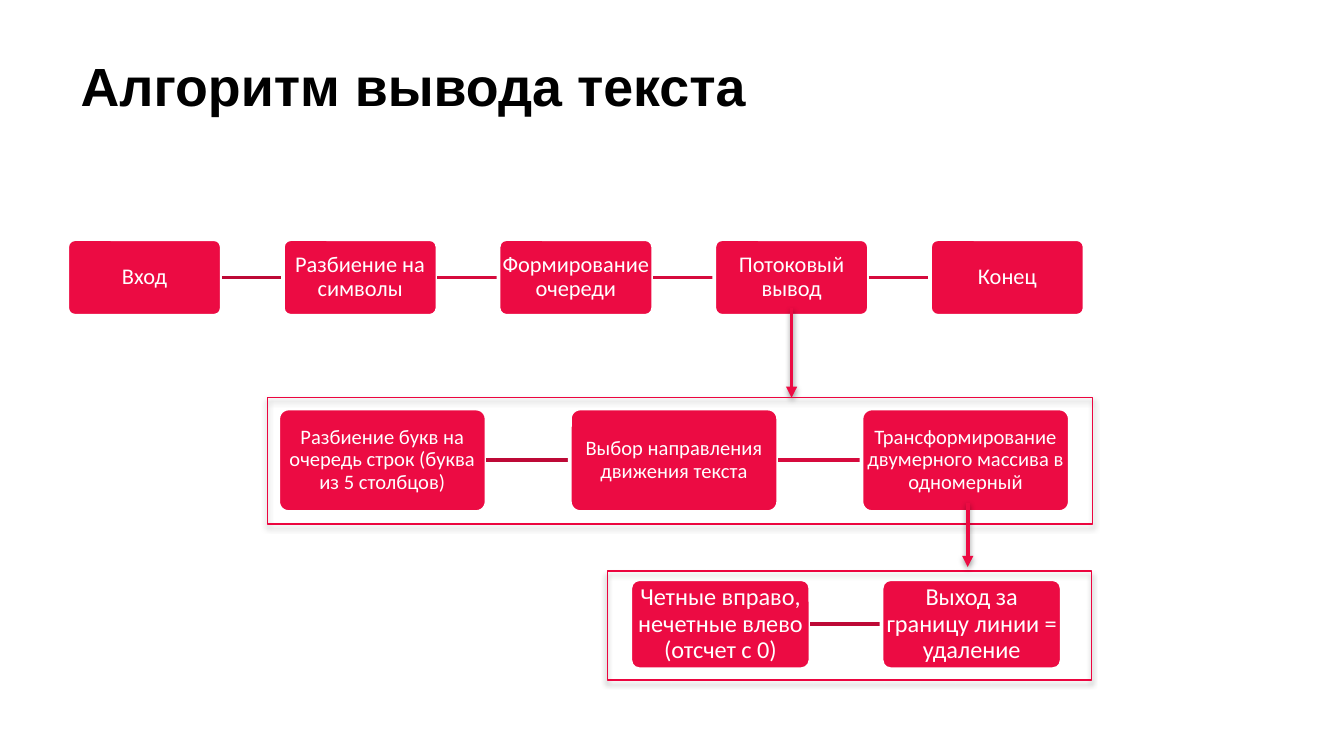
from dataclasses import dataclass

from lxml.etree import SubElement
from pptx import Presentation
from pptx.dml.color import RGBColor
from pptx.enum.shapes import MSO_CONNECTOR, MSO_SHAPE
from pptx.enum.text import MSO_ANCHOR, PP_ALIGN
from pptx.oxml.ns import qn
from pptx.shapes.autoshape import Shape
from pptx.shapes.connector import Connector
from pptx.slide import Slide
from pptx.util import Inches, Pt

TOP, LEFT, BOTTOM, RIGHT = range(4)


@dataclass(frozen=True)
class Theme:
    title_font: str = "Arial"
    step_font: str = "Calibri"
    title_size: float = 28.8
    line_width: float = 2
    frame_width: float = 0.75
    black: RGBColor = RGBColor.from_string("000000")
    white: RGBColor = RGBColor.from_string("FFFFFF")
    red: RGBColor = RGBColor.from_string("EC0B43")
    frame_red: RGBColor = RGBColor.from_string("EC053F")
    first_link: RGBColor = RGBColor.from_string("BD0936")
    next_link: RGBColor = RGBColor.from_string("D60A3D")


THEME = Theme()


@dataclass(frozen=True)
class Chain:
    """A row of equal boxes spread evenly from left to right."""
    left: float
    right: float
    top: float
    width: float
    height: float
    text_size: float
    steps: tuple[str, ...]

    @property
    def pitch(self) -> float:
        return (self.right - self.left - self.width) / (len(self.steps) - 1)


@dataclass(frozen=True)
class Frame:
    left: float
    top: float
    width: float
    height: float


@dataclass(frozen=True)
class Arrow:
    x: float
    start: float
    end: float


MAIN_CHAIN = Chain(0.5, 8.07, 1.78, 1.15, 0.57, 12, (
    "Вход",
    "Разбиение на символы",
    "Формирование очереди",
    "Потоковый вывод",
    "Конец",
))
OUTPUT_CHAIN = Chain(2.07, 7.96, 3.04, 1.55, 0.77, 11, (
    "Разбиение букв на очередь строк (буква из 5 столбцов)",
    "Выбор направления движения текста",
    "Трансформирование двумерного массива в одномерный",
))
TRANSFORM_CHAIN = Chain(4.69, 7.9, 4.31, 1.34, 0.67, 13, (
    "Четные вправо, нечетные влево (отсчет с 0)",
    "Выход за границу линии = удаление",
))
OUTPUT_FRAME = Frame(1.99, 2.96, 6.14, 0.94)
TRANSFORM_FRAME = Frame(4.52, 4.25, 3.6, 0.81)
OUTPUT_ARROW = Arrow(5.89, 2.29, 2.96)
TRANSFORM_ARROW = Arrow(7.2, 3.74, 4.22)


def set_shadow(item: Shape | Connector, opacity: int = 0, distance: float = 0) -> None:
    """Replace the theme shadow: none at zero opacity, else one falling down."""
    effects = SubElement(item.element.spPr, qn("a:effectLst"))
    if opacity:
        shadow = SubElement(effects, qn("a:outerShdw"), blurRad=str(Pt(3.1)),
                            dist=str(Pt(distance)), dir="5400000", rotWithShape="0")
        color = SubElement(shadow, qn("a:srgbClr"), val=str(THEME.black))
        SubElement(color, qn("a:alpha"), val=str(opacity * 1000))


def set_line(item: Shape | Connector, color: RGBColor, width: float) -> None:
    item.line.color.rgb = color
    item.line.width = Pt(width)


def add_step(page: Slide, chain: Chain, index: int) -> Shape:
    box = page.shapes.add_shape(
        MSO_SHAPE.ROUNDED_RECTANGLE, Inches(chain.left + index * chain.pitch),
        Inches(chain.top), Inches(chain.width), Inches(chain.height))
    box.adjustments[0] = 0.1
    box.fill.solid()
    box.fill.fore_color.rgb = THEME.red
    set_line(box, THEME.white, THEME.line_width)
    box.shadow.inherit = False

    frame = box.text_frame
    frame.word_wrap = True
    frame.vertical_anchor = MSO_ANCHOR.MIDDLE
    frame.margin_left = frame.margin_right = Inches(0.01)
    frame.margin_top = frame.margin_bottom = Inches(0.01)
    para = frame.paragraphs[0]
    para.text = chain.steps[index]
    para.alignment = PP_ALIGN.CENTER
    para.line_spacing = 0.9
    para.font.name = THEME.step_font
    para.font.size = Pt(chain.text_size)
    para.font.color.rgb = THEME.white
    return box


def add_chain(page: Slide, chain: Chain) -> None:
    """Draw the boxes in order, each link lying between its two boxes."""
    previous = add_step(page, chain, 0)
    for index in range(1, len(chain.steps)):
        link = page.shapes.add_connector(MSO_CONNECTOR.STRAIGHT, 0, 0, 0, 0)
        set_line(link, THEME.first_link if index == 1 else THEME.next_link,
                 THEME.line_width)
        set_shadow(link)
        box = add_step(page, chain, index)
        link.begin_connect(previous, RIGHT)
        link.end_connect(box, LEFT)
        previous = box


def add_frame(page: Slide, frame: Frame) -> None:
    outline = page.shapes.add_shape(
        MSO_SHAPE.RECTANGLE, Inches(frame.left), Inches(frame.top),
        Inches(frame.width), Inches(frame.height))
    outline.fill.background()
    set_line(outline, THEME.frame_red, THEME.frame_width)
    set_shadow(outline, opacity=35, distance=1.8)


def add_arrow(page: Slide, arrow: Arrow) -> None:
    line = page.shapes.add_connector(
        MSO_CONNECTOR.STRAIGHT, Inches(arrow.x), Inches(arrow.start),
        Inches(arrow.x), Inches(arrow.end))
    set_line(line, THEME.red, THEME.line_width)
    SubElement(line.element.spPr.find(qn("a:ln")), qn("a:tailEnd"), type="triangle")
    set_shadow(line, opacity=38, distance=1.6)


def set_title(page: Slide, text: str) -> None:
    title = page.shapes.title
    title.left, title.top = Inches(0.5), Inches(0.34)
    title.width, title.height = Inches(7.46), Inches(0.58)
    title.text_frame.vertical_anchor = MSO_ANCHOR.MIDDLE
    para = title.text_frame.paragraphs[0]
    para.text = text
    para.alignment = PP_ALIGN.LEFT
    para.font.name = THEME.title_font
    para.font.size = Pt(THEME.title_size)
    para.font.bold = True
    para.font.color.rgb = THEME.black


def main() -> None:
    deck = Presentation()
    deck.slide_width = Inches(10)
    deck.slide_height = deck.slide_width * 9 // 16
    page = deck.slides.add_slide(deck.slide_layouts.get_by_name("Title Only"))

    set_title(page, "Алгоритм вывода текста")
    add_chain(page, MAIN_CHAIN)
    add_chain(page, OUTPUT_CHAIN)
    add_arrow(page, OUTPUT_ARROW)
    add_frame(page, OUTPUT_FRAME)
    add_chain(page, TRANSFORM_CHAIN)
    add_frame(page, TRANSFORM_FRAME)
    add_arrow(page, TRANSFORM_ARROW)

    deck.save("out.pptx")


if __name__ == "__main__":
    main()
